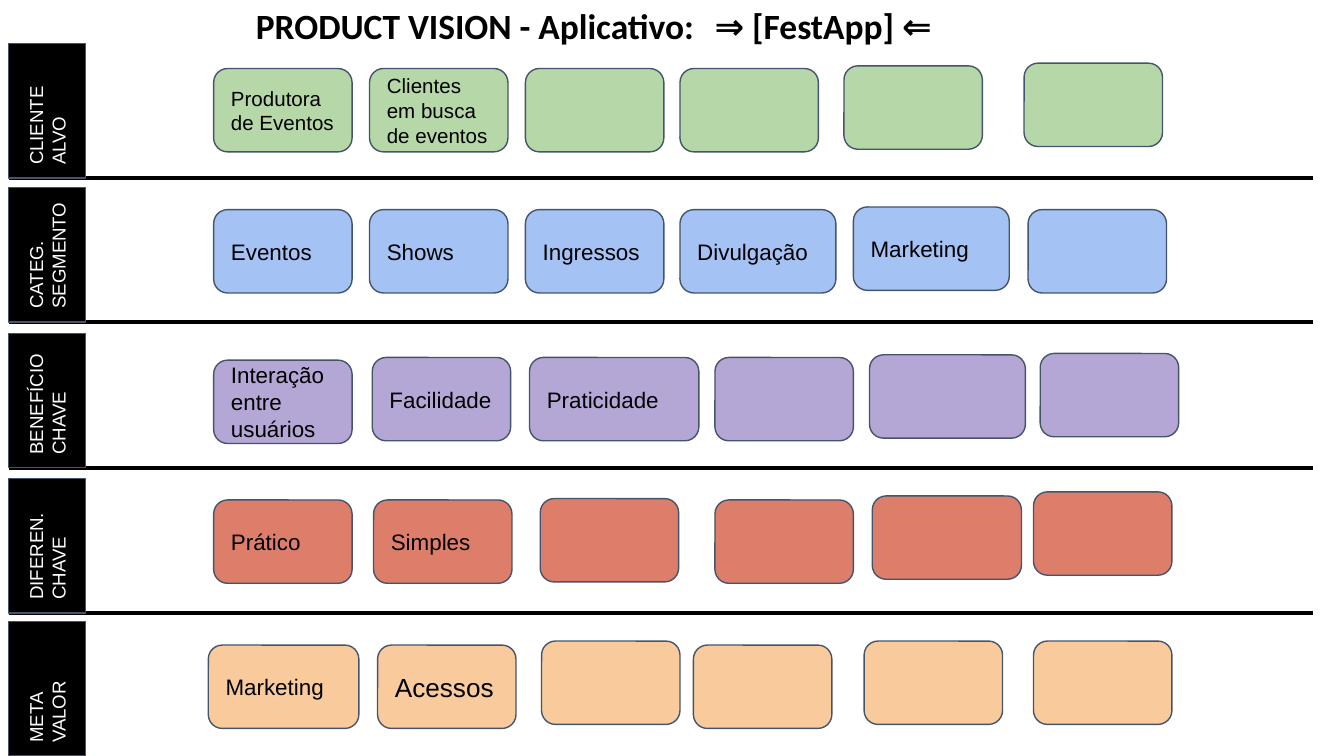
from lxml import etree
from pptx import Presentation, util as u
from pptx.dml.color import RGBColor
from pptx.enum import shapes, text
from pptx.oxml.ns import qn

COLS, ROWS = 100, 56.25
CARD_W, CARD_H = 10.3, 6.2
LANE_H, TAG_W = 10, 5.7
BLACK, WHITE, SLATE = "000000", "FFFFFF", "44546A"

LANES = [
    ("CLIENTE ALVO", 3.25, 1.85, "B6D7A8", [
        (15.9, 0, CARD_W, "Produtora de Eventos", 11),
        (27.5, 0, CARD_W, "Clientes em busca de eventos", 11),
        (39.1, 0, CARD_W), (50.6, 0, CARD_W),
        (62.8, 0.2, CARD_W), (76.2, 0.4, CARD_W)]),
    ("CATEG. SEGMENTO", 13.95, 1.65, "A4C2F4", [
        (15.9, 0, CARD_W, "Eventos"), (27.5, 0, CARD_W, "Shows"),
        (39.1, 0, CARD_W, "Ingressos"), (50.6, 0, 11.6, "Divulgação"),
        (63.5, 0.2, 11.6, "Marketing"), (76.5, 0, CARD_W)]),
    ("BENEFÍCIO CHAVE", 24.8, 2, "B4A7D6", [
        (15.9, 0, CARD_W, "Interação entre usuários"),
        (27.7, 0.2, CARD_W, "Facilidade"), (39.4, 0.2, 12.6, "Praticidade"),
        (53.2, 0.2, CARD_W), (64.7, 0.4, 11.6), (77.4, 0.5, CARD_W)]),
    ("DIFEREN. CHAVE", 35.6, 1.6, "DD7E6B", [
        (15.9, 0, CARD_W, "Prático"), (27.8, 0, CARD_W, "Simples"),
        (40.2, 0.1, CARD_W), (53.2, 0, CARD_W),
        (64.9, 0.3, 11.1), (76.9, 0.6, CARD_W)]),
    ("META VALOR", 46.25, 1.75, "F9CB9C", [
        (15.5, 0, 11.2, "Marketing"), (28.1, 0, CARD_W, "Acessos", 14),
        (40.3, 0.3, CARD_W), (51.6, 0, CARD_W),
        (64.3, 0.3, CARD_W), (76.9, 0.3, CARD_W)]),
]

prs = Presentation()
prs.slide_width = u.Inches(10)
prs.slide_height = prs.slide_width * 9 // 16
slide = prs.slides.add_slide(prs.slide_layouts[6])


def rgb(value):
    """Return the colour for a hex string."""
    return RGBColor.from_string(value)


def grid(left, top, width, height):
    """Turn grid columns and rows into slide lengths."""
    col, row = prs.slide_width / COLS, prs.slide_height / ROWS
    return [round(n) for n in (left * col, top * row, width * col, height * row)]


def write(sp, words, size, color, font="Arial", bold=False, align=text.PP_ALIGN.LEFT):
    """Set a shape's text and format it."""
    sp.text_frame.text = words
    p = sp.text_frame.paragraphs[0]
    p.alignment = align
    f = p.runs[0].font
    f.size, f.name, f.bold = u.Pt(size), font, bold
    f.color.rgb = rgb(color)


def block(kind, box, fill):
    """Add a filled, outlined shape ready for text."""
    sp = slide.shapes.add_shape(kind, *grid(*box))
    sp.shadow.inherit = False
    sp.fill.solid()
    sp.fill.fore_color.rgb = rgb(fill)
    sp.line.color.rgb = rgb(SLATE)
    sp.line.width = u.Pt(0.75)
    tf = sp.text_frame
    tf.word_wrap = True
    tf.vertical_anchor = text.MSO_ANCHOR.MIDDLE
    tf.margin_left = tf.margin_right = tf.margin_top = tf.margin_bottom = u.Inches(0.1)
    return sp


def heading(box, words):
    """Add one part of the title."""
    sp = slide.shapes.add_textbox(*grid(*box))
    tf = sp.text_frame
    tf.word_wrap = True
    tf.margin_left = tf.margin_right = u.Inches(0.02)
    tf.margin_top = tf.margin_bottom = u.Inches(0.01)
    write(sp, words, 19, BLACK, "Calibri", True, text.PP_ALIGN.CENTER)


def divider(left, top, width):
    """Add a horizontal rule under a lane."""
    x, y, w, _ = grid(left, top, width, 0)
    line = slide.shapes.add_connector(shapes.MSO_CONNECTOR.STRAIGHT, x, y, x + w, y)
    line.line.color.rgb = rgb(BLACK)
    line.line.width = u.Pt(2.25)
    etree.SubElement(line._element.spPr, qn("a:effectLst"))


def tag(left, top, words):
    """Add the upright label at the start of a lane."""
    box = (left + (TAG_W - LANE_H) / 2, top + (LANE_H - TAG_W) / 2, LANE_H, TAG_W)
    sp = block(shapes.MSO_SHAPE.RECTANGLE, box, BLACK)
    sp.rotation = 270
    write(sp, words, 10, WHITE)


def card(left, top, width, fill, words="", size=12):
    """Add a rounded card, with its text if it has any."""
    sp = block(shapes.MSO_SHAPE.ROUNDED_RECTANGLE, (left, top, width, CARD_H), fill)
    if words:
        write(sp, words, size, BLACK)


def lane(left, top, name, base, fill, cards):
    """Add a lane's label and its row of cards."""
    tag(left, top, name)
    for x, rise, width, *label in cards:
        card(x, top + base - rise, width, fill, *label)


heading((17.7, 0.2, 35.3, 2.9), "PRODUCT VISION - Aplicativo:")
heading((52.3, 0.2, 18.5, 2.9), "⇒ [FestApp] ⇐ ")
for _, top, *_ in LANES[:-1]:
    divider(0.7, top + LANE_H, 97)
for name, top, base, fill, cards in LANES:
    lane(0.65, top, name, base, fill, cards)

prs.save("out.pptx")
